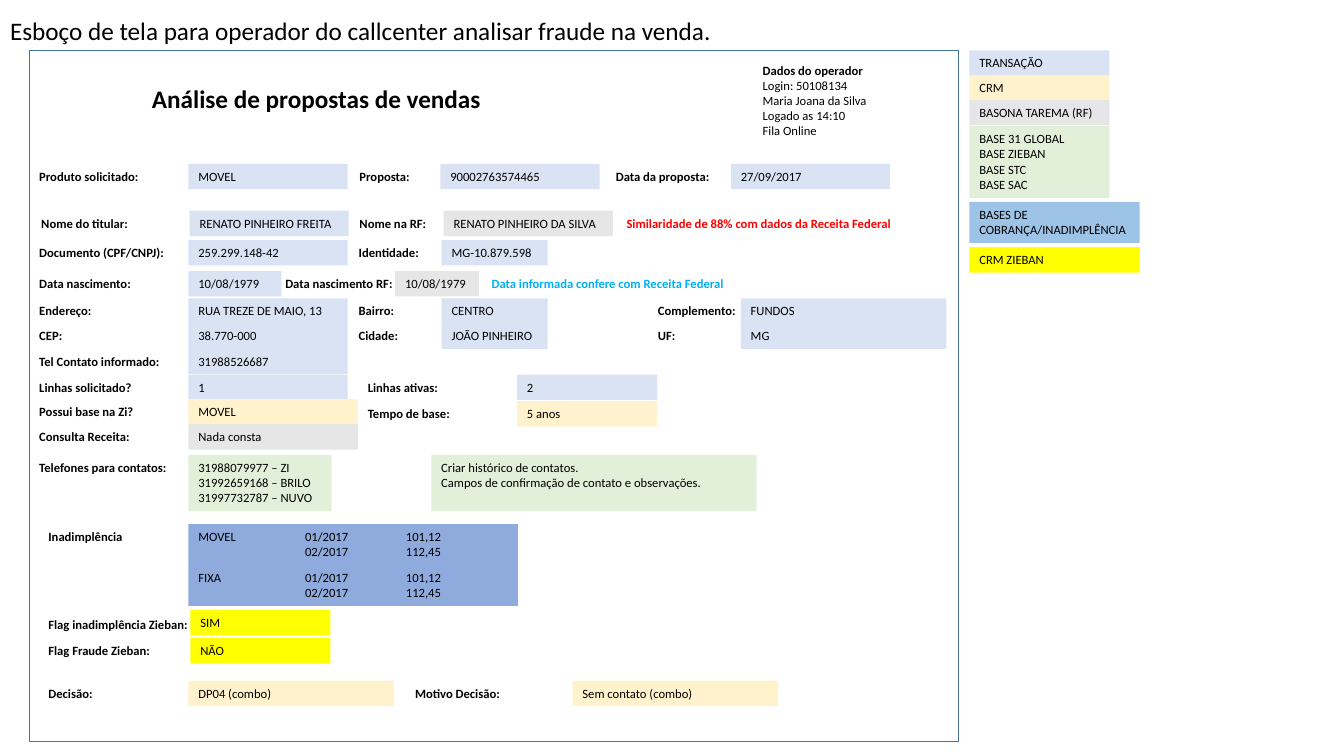
from pptx import Presentation
from pptx.dml.color import RGBColor
from pptx.enum.shapes import MSO_SHAPE as Shape
from pptx.enum.text import MSO_ANCHOR as Anchor, MSO_AUTO_SIZE as AutoSize, PP_ALIGN as Align
from pptx.oxml import parse_xml
from pptx.oxml.ns import nsdecls
from pptx.util import Cm, Pt

FONT = "Calibri"
BLACK = RGBColor(0x00, 0x00, 0x00)
RED = RGBColor(0xFF, 0x00, 0x00)
CYAN = RGBColor(0x00, 0xB0, 0xF0)
FRAME_BLUE = RGBColor(0x43, 0x73, 0x9E)
BLUE = RGBColor(0xDA, 0xE3, 0xF3)
CREAM = RGBColor(0xFF, 0xF2, 0xCC)
GRAY = RGBColor(0xE7, 0xE6, 0xE6)
GREEN = RGBColor(0xE2, 0xF0, 0xD9)
DEBT_BLUE = RGBColor(0x8F, 0xAA, 0xDC)
SKY = RGBColor(0x9D, 0xC3, 0xE6)
YELLOW = RGBColor(0xFF, 0xFF, 0x00)

# Form columns, in cm
LABEL_X, FIELD_X = 0.74, 4.75
LABEL2_X, FIELD2_X = 8.79, 11.13
LABEL3_X, FIELD3_X = 16.33, 18.67
FIELD_W = 4.01
LINE_H, LINE_STEP = 0.64, 0.39


def add_span(para, text, size=9, bold=False, color=BLACK):
    span = para.add_run()
    span.text = text
    span.font.name = FONT
    span.font.size = Pt(size)
    span.font.bold = bold
    span.font.color.rgb = color


def add_box(x, y, width, text, fill=None, color=BLACK, rows=None, size=9):
    """Unfilled boxes are bold labels; filled ones are values."""
    lines = text.split("\n")
    height = LINE_H + LINE_STEP * ((rows or len(lines)) - 1)
    box = slide.shapes.add_textbox(Cm(x), Cm(y), Cm(width), Cm(height))
    if fill is not None:
        box.fill.solid()
        box.fill.fore_color.rgb = fill
    frame = box.text_frame
    frame.word_wrap = True
    frame.auto_size = AutoSize.NONE
    for index, line in enumerate(lines):
        para = frame.paragraphs[0] if index == 0 else frame.add_paragraph()
        if "\t" in line:
            para._p.get_or_add_pPr().append(parse_xml(
                f'<a:tabLst {nsdecls("a")}><a:tab pos="{Cm(2.54)}" algn="l"/></a:tabLst>'))
        add_span(para, line, size, fill is None, color)
    return box


deck = Presentation()
deck.slide_width, deck.slide_height = Cm(33.87), Cm(19.05)
slide = deck.slides.add_slide(deck.slide_layouts[5])

# Slide title
title = slide.shapes.title
title.left, title.top, title.width, title.height = Cm(0), Cm(0.25), Cm(18.24), Cm(1.02)
title.text_frame.word_wrap = False
title.text_frame.auto_size = AutoSize.NONE
title.text_frame.vertical_anchor = Anchor.TOP
title_para = title.text_frame.paragraphs[0]
title_para.alignment = Align.LEFT
add_span(title_para, "Esboço de tela para operador do callcenter analisar fraude na venda.", 18)

# Screen frame
screen = slide.shapes.add_shape(Shape.RECTANGLE, Cm(0.74), Cm(1.27), Cm(23.42), Cm(17.4))
screen.shadow.inherit = False
screen.fill.background()
screen.line.color.rgb = FRAME_BLUE
screen.line.width = Pt(0.25)

# Screen heading and operator data
add_box(3.58, 1.98, 14.27, "Análise de propostas de vendas", size=18)
operator = add_box(18.97, 1.45, 5.03, "Dados do operador\nLogin: 50108134\n"
                   "Maria Joana da Silva\nLogado as 14:10\nFila Online")
for para in operator.text_frame.paragraphs[1:]:
    para.runs[0].font.bold = False

# Form rows: top, then (left, width, text, fill) for each label or value
form_rows = [
    (4.13, [(LABEL_X, FIELD_W, "Produto solicitado:", None), (FIELD_X, FIELD_W, "MOVEL", BLUE),
            (8.81, FIELD_W, "Proposta:", None), (11.1, FIELD_W, "90002763574465", BLUE),
            (15.27, FIELD_W, "Data da proposta:", None), (18.42, FIELD_W, "27/09/2017", BLUE)]),
    (5.31, [(0.79, FIELD_W, "Nome do titular:", None),
            (4.78, FIELD_W, "RENATO PINHEIRO FREITA", BLUE),
            (8.81, FIELD_W, "Nome na RF:", None),
            (11.18, 4.27, "RENATO PINHEIRO DA SILVA", GRAY)]),
    (6.05, [(LABEL_X, FIELD_W, "Documento (CPF/CNPJ):", None),
            (FIELD_X, FIELD_W, "259.299.148-42", BLUE),
            (LABEL2_X, 2.36, "Identidade:", None), (FIELD2_X, 2.67, "MG-10.879.598", BLUE)]),
    (6.83, [(LABEL_X, 2.92, "Data nascimento:", None), (FIELD_X, 2.34, "10/08/1979", BLUE),
            (9.96, 2.11, "10/08/1979", GRAY)]),
    (7.52, [(LABEL_X, FIELD_W, "Endereço:", None), (FIELD_X, FIELD_W, "RUA TREZE DE MAIO, 13", BLUE),
            (LABEL2_X, 2.36, "Bairro:", None), (FIELD2_X, 2.67, "CENTRO", BLUE),
            (LABEL3_X, 2.77, "Complemento:", None), (FIELD3_X, 5.18, "FUNDOS", BLUE)]),
    (8.15, [(LABEL_X, FIELD_W, "CEP:", None), (FIELD_X, FIELD_W, "38.770-000", BLUE),
            (LABEL2_X, 2.36, "Cidade:", None), (FIELD2_X, 2.67, "JOÃO PINHEIRO", BLUE),
            (LABEL3_X, 2.77, "UF:", None), (FIELD3_X, 5.18, "MG", BLUE)]),
    (8.79, [(LABEL_X, FIELD_W, "Tel Contato informado:", None),
            (FIELD_X, FIELD_W, "31988526687", BLUE)]),
    (9.44, [(LABEL_X, 4.6, "Linhas solicitado?", None), (FIELD_X, FIELD_W, "1", BLUE),
            (9.02, 4.6, "Linhas ativas:", None), (13.03, 3.53, "2", BLUE)]),
    (10.06, [(LABEL_X, 4.6, "Possui base na Zi?", None), (FIELD_X, 4.27, "MOVEL", CREAM)]),
    (10.11, [(9.02, 4.6, "Tempo de base:", None), (13.03, 3.53, "5 anos", CREAM)]),
    (10.69, [(LABEL_X, 4.6, "Consulta Receita:", None), (FIELD_X, 4.27, "Nada consta", GRAY)]),
    (11.46, [(LABEL_X, 4.6, "Telefones para contatos:", None),
             (FIELD_X, 3.61, "31988079977 – ZI\n31992659168 – BRILO\n31997732787 – NUVO", GREEN)]),
    (13.21, [(0.97, 3.07, "Inadimplência", None)]),
    (15.37, [(4.8, 3.53, "SIM", YELLOW)]),
    (15.42, [(0.97, 4.39, "Flag inadimplência Zieban:", None)]),
    (16.08, [(0.97, 4.39, "Flag Fraude Zieban:", None), (4.8, 3.53, "NÃO", YELLOW)]),
    (17.15, [(0.97, 4.6, "Decisão:", None), (FIELD_X, 5.18, "DP04 (combo)", CREAM),
             (10.21, 4.6, "Motivo Decisão:", None), (14.43, 5.18, "Sem contato (combo)", CREAM)]),
]
for top, cells in form_rows:
    for left, width, text, fill in cells:
        add_box(left, top, width, text, fill)

birth_label = add_box(7.09, 6.83, 3.33, "Data nascimento RF:")
birth_label.text_frame.margin_left = Cm(0.1)

# Contact history
add_box(10.87, 11.46, 8.2, "Criar histórico de contatos.\n"
        "Campos de confirmação de contato e observações.", GREEN, rows=3)

# Check messages
add_box(15.54, 5.32, 7.67, "Similaridade de 88% com dados da Receita Federal", color=RED)
add_box(12.14, 6.82, 6.96, "Data informada confere com Receita Federal", color=CYAN)

# Overdue bills
for index, product in enumerate(["MOVEL", "FIXA"]):
    top = 13.21 + index * 1.03
    add_box(FIELD_X, top, 2.69, product, DEBT_BLUE, rows=2)
    add_box(7.44, top, 5.61, "01/2017\t101,12\n02/2017\t112,45", DEBT_BLUE)

# Legend of data sources
legend = [
    (1.27, 3.53, "TRANSAÇÃO", BLUE, 1),
    (1.9, 3.53, "CRM", CREAM, 1),
    (2.52, 3.53, "BASONA TAREMA (RF)", GRAY, 1),
    (3.18, 3.53, "BASE 31 GLOBAL\nBASE ZIEBAN\nBASE STC\nBASE SAC", GREEN, 4),
    (5.09, 4.29, "BASES DE COBRANÇA/INADIMPLÊNCIA", SKY, 2),
    (6.23, 4.29, "CRM ZIEBAN", YELLOW, 1),
]
for top, width, text, fill, rows in legend:
    add_box(24.43, top, width, text, fill, rows=rows)

deck.save("out.pptx")
